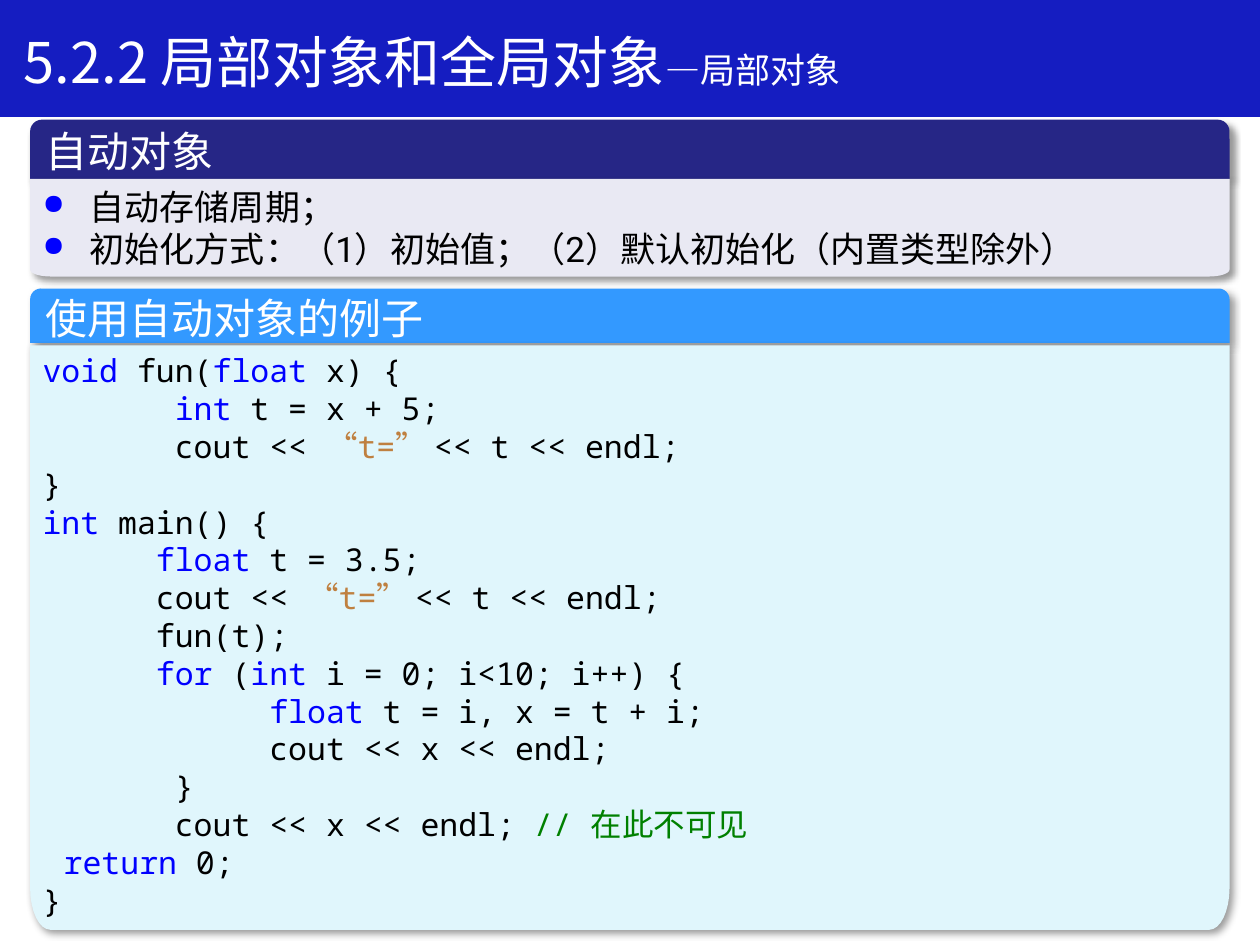
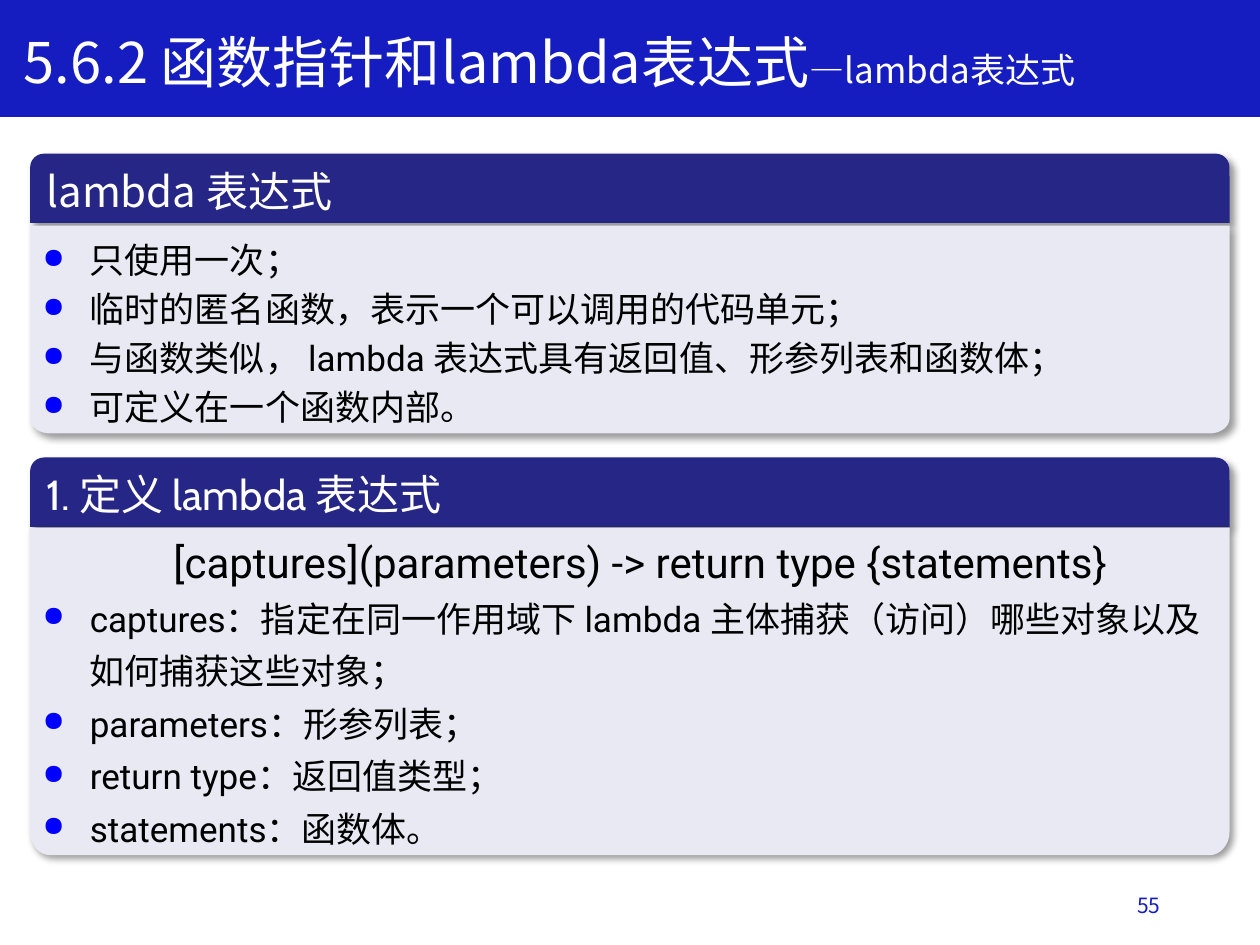
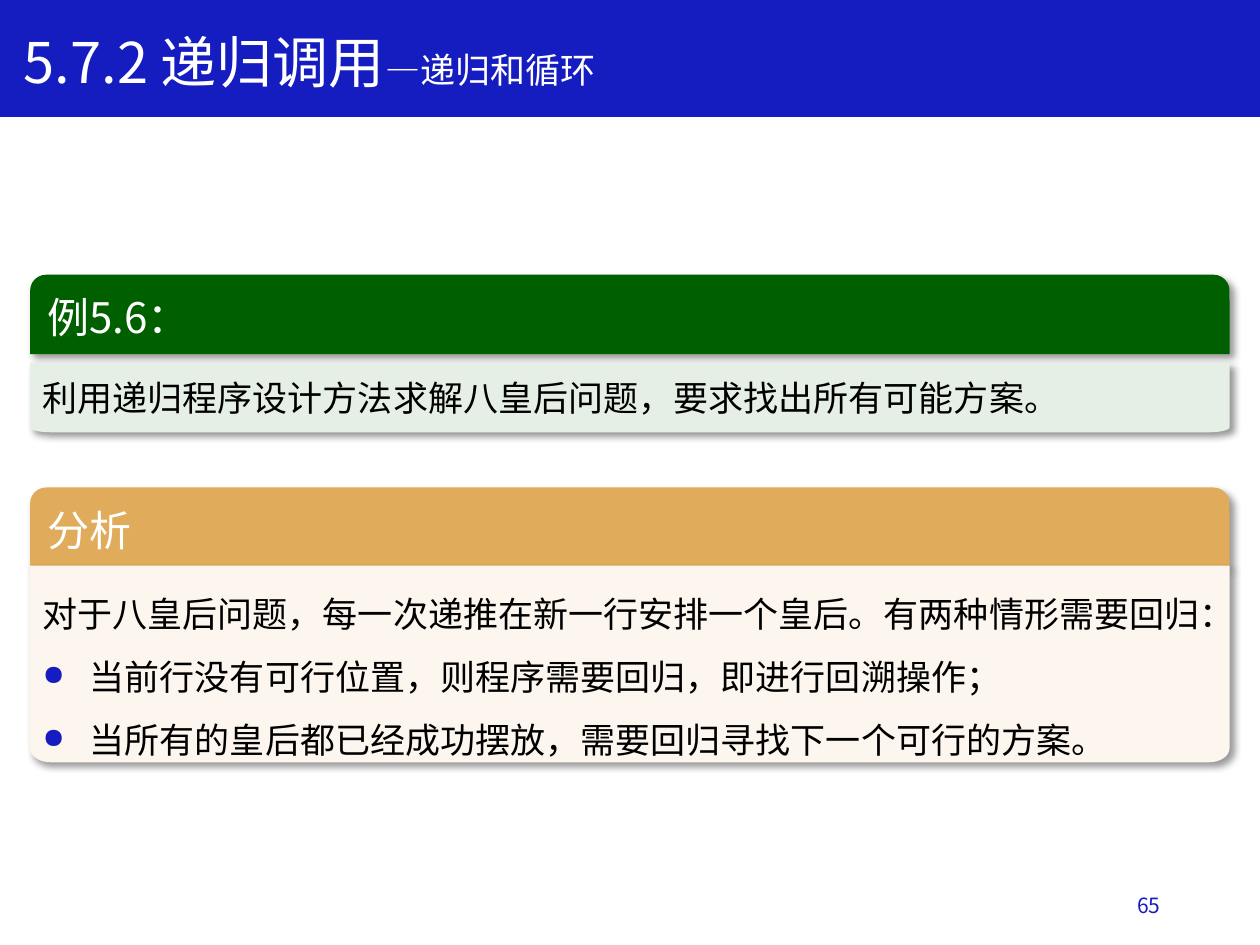
from math import cos, sin, pi

from lxml.etree import SubElement
from pptx import Presentation
from pptx.dml.color import RGBColor
from pptx.enum.shapes import MSO_SHAPE as SHAPE
from pptx.enum.text import MSO_ANCHOR as ANCHOR, PP_ALIGN as ALIGN
from pptx.oxml.ns import qn
from pptx.util import Pt

# Shared look
CJK, MONO, LATIN, CABIN = "Noto Sans CJK SC", "Noto Sans Mono", "Roboto", "Cabin"
BAND, BLUE, WHITE, BLACK = "151DC1", "0000FF", "FFFFFF", "000000"
LEFT, WIDTH = 17.2, 685.4
CORNER_X, CORNER_RATIO = 11.5, 0.0715
STYLES = {
    "kw": dict(font=MONO, color=BLUE),
    "str": dict(font=MONO, color="BF8040"),
    "note": dict(font=MONO, color="008000"),
    "note_cjk": dict(font=CJK, color="008000"),
    "latin": dict(font=LATIN),
    "syntax": dict(font=LATIN, size=24),
    "cabin": dict(font=CABIN),
}
NAVY = ("262686", "E9E9F3")
SKY = ("3399FF", "E0F6FC")
GREEN = ("006000", "E5EFE5")
AMBER = ("E0AB5B", "FCF6EE")

# Content: a run is a string or (string, style); a paragraph is (kind, runs)
CODE = [
    ("void ", "kw"), "fun(", ("float ", "kw"), "x) {\n       ",
    ("int ", "kw"), "t = x + 5;\n       cout << ",
    ("“t=” ", "str"), "<< t << endl;\n}\n",
    ("int ", "kw"), "main() {\n      ",
    ("float ", "kw"), "t = 3.5;\n      cout << ",
    ("“t=” ", "str"), "<< t << endl;\n      fun(t);\n      ",
    ("for ", "kw"), "(", ("int ", "kw"), "i = 0; i<10; i++) {\n            ",
    ("float ", "kw"), "t = i, x = t + i;\n            cout << x << endl;\n"
    "       }\n       cout << x << endl; ",
    ("// ", "note"), ("在此不可见\n   ", "note_cjk"),
    ("return ", "kw"), "0;\n}",
]

SLIDES = [
    dict(title="5.2.2 局部对象和全局对象", subtitle="—局部对象", title_width=540, blocks=[
        dict(colors=NAVY, head=(68.4, 33.8), body=(102.2, 55.8), spacing=Pt(24),
             heading=["自动对象"], paras=[
                 ("bullet", ["自动存储周期；"]),
                 ("bullet", ["初始化方式：（", ("1", "latin"), "）初始值；（",
                             ("2", "latin"), "）默认初始化（内置类型除外）"])]),
        dict(colors=SKY, head=(164.9, 31), body=(197.3, 334), spacing=Pt(21.6),
             heading=["使用自动对象的例子"], size=18, font=MONO,
             paras=[("plain", CODE)]),
    ]),
    dict(title="5.6.2 函数指针和lambda表达式", subtitle="—lambda表达式", number="55", blocks=[
        dict(colors=NAVY, head=(87.8, 39.6), body=(128.9, 118.8), spacing=Pt(28),
             heading=["lambda 表达式"], paras=[
                 ("bullet", ["只使用一次；"]),
                 ("bullet", ["临时的匿名函数，表示一个可以调用的代码单元；"]),
                 ("bullet", ["与函数类似， ", ("lambda ", "latin"),
                             "表达式具有返回值、形参列表和函数体；"]),
                 ("bullet", ["可定义在一个函数内部。"])]),
        dict(colors=NAVY, head=(261.4, 39.6), body=(301.7, 187), spacing=Pt(30),
             heading=[("1. ", "cabin"), "定义 ", ("lambda ", "cabin"), "表达式"], paras=[
                 ("center", [("  [captures](parameters) -> return type {statements}",
                              "syntax")]),
                 ("bullet", [("captures", "latin"), "：指定在同一作用域下 ",
                             ("lambda ", "latin"),
                             "主体捕获（访问）哪些对象以及如何捕获这些对象；"]),
                 ("bullet", [("parameters", "latin"), "：形参列表；"]),
                 ("bullet", [("return type", "latin"), "：返回值类型；"]),
                 ("bullet", [("statements", "latin"), "：函数体。"])]),
    ]),
    dict(title="5.7.2 递归调用", subtitle="—递归和循环", number="65", blocks=[
        dict(colors=GREEN, head=(157, 45.4), body=(207.4, 39.6), anchor=ANCHOR.MIDDLE,
             heading=["例5.6："], paras=[
                 ("plain", ["利用递归程序设计方法求解八皇后问题，要求找出所有可能方案。"])]),
        dict(colors=AMBER, head=(278.6, 45.4), body=(323.3, 112.3), spacing=1.5,
             heading=["分析"], bullet_color=BAND, paras=[
                 ("plain", ["对于八皇后问题，每一次递推在新一行安排一个皇后。有两种情形需要回归："]),
                 ("bullet", ["当前行没有可行位置，则程序需要回归，即进行回溯操作；"]),
                 ("bullet", ["当所有的皇后都已经成功摆放，需要回归寻找下一个可行的方案。"])]),
    ]),
]


def rgb(value):
    return RGBColor.from_string(value)


def add_run(p, text, size=20, font=CJK, color=BLACK):
    for i, line in enumerate(text.split("\n")):
        if i:
            p.add_line_break()
        if not line:
            continue
        r = p.add_run()
        r.text = line
        r.font.size, r.font.name = Pt(size), font
        r.font.color.rgb = rgb(color)
        rPr = r.font._element
        rPr.set("lang", "zh-CN")
        SubElement(rPr, qn("a:ea")).set("typeface", CJK)


def add_bullet(p, color):
    pPr = p._p.get_or_add_pPr()
    pPr.set("marL", str(Pt(27)))
    pPr.set("indent", str(-Pt(27)))
    SubElement(SubElement(pPr, qn("a:buClr")), qn("a:srgbClr")).set("val", color)
    SubElement(pPr, qn("a:buSzPct")).set("val", "80000")
    SubElement(pPr, qn("a:buChar")).set("char", "●")


def write(sp, paras, anchor=ANCHOR.TOP, align=ALIGN.LEFT, spacing=None,
          bullet_color=BLUE, **fmt):
    tf = sp.text_frame
    tf.word_wrap = True
    tf.vertical_anchor = anchor
    for i, (kind, runs) in enumerate(paras):
        p = tf.add_paragraph() if i else tf.paragraphs[0]
        if kind == "bullet":
            add_bullet(p, bullet_color)
        p.alignment = ALIGN.CENTER if kind == "center" else align
        if spacing:
            p.line_spacing = spacing
        for run in runs:
            text, style = (run, {}) if isinstance(run, str) else (run[0], STYLES[run[1]])
            add_run(p, text, **{**fmt, **style})


def paint(sp, color, shadow=True):
    sp.shadow.inherit = False
    sp.fill.solid()
    sp.fill.fore_color.rgb = rgb(color)
    if not shadow:
        sp.line.color.rgb = rgb(color)
        sp.line.width = Pt(1)
        return
    sp.line.fill.background()
    effects = sp._element.spPr.find(qn("a:effectLst"))
    outer = SubElement(effects, qn("a:outerShdw"), blurRad=str(Pt(4)), dist=str(Pt(3)),
                       dir="2700000", algn="tl", rotWithShape="0")
    tint = SubElement(outer, qn("a:srgbClr"), val=BLACK)
    SubElement(tint, qn("a:alpha"), val="40000")


def rounded_bottom(s, top, height, steps=8):
    """Panel with square top corners and elliptical bottom corners."""
    right, bottom, ry = LEFT + WIDTH, top + height, height * CORNER_RATIO
    points = [(right, top)]
    for cx, start in ((right - CORNER_X, 0), (LEFT + CORNER_X, pi / 2)):
        for k in range(steps + 1):
            a = start + k * pi / 2 / steps
            points.append((cx + CORNER_X * cos(a), bottom - ry + ry * sin(a)))
    fb = s.shapes.build_freeform(Pt(LEFT), Pt(top))
    fb.add_line_segments([(Pt(x), Pt(y)) for x, y in points], close=True)
    return fb.convert_to_shape()


def add_block(s, colors, head, body, heading, paras, **fmt):
    sp = s.shapes.add_shape(SHAPE.ROUND_2_SAME_RECTANGLE,
                            Pt(LEFT), Pt(head[0]), Pt(WIDTH), Pt(head[1]))
    sp.adjustments[0], sp.adjustments[1] = 0.2, 0
    paint(sp, colors[0])
    write(sp, [("plain", heading)], anchor=ANCHOR.MIDDLE, size=24, color=WHITE)
    sp = rounded_bottom(s, *body)
    paint(sp, colors[1])
    write(sp, paras, **fmt)


def add_frame(s, title, subtitle, number, title_width):
    # Title band
    sp = s.shapes.add_shape(SHAPE.RECTANGLE, 0, 0, Pt(720), Pt(66.2))
    paint(sp, BAND, shadow=False)
    sp = s.shapes.add_textbox(Pt(6.5), Pt(12.2), Pt(title_width), Pt(46))
    write(sp, [("plain", [title])], size=32, color=WHITE)
    add_run(sp.text_frame.paragraphs[0], subtitle, color=WHITE)
    # Page number
    if number:
        sp = s.shapes.add_textbox(Pt(508.3), Pt(502.6), Pt(162), Pt(28.8))
        write(sp, [("plain", [number])], anchor=ANCHOR.MIDDLE, align=ALIGN.RIGHT,
              size=12, color=BAND)


def main():
    prs = Presentation()
    prs.slide_width, prs.slide_height = Pt(720), Pt(540)
    for data in SLIDES:
        s = prs.slides.add_slide(prs.slide_layouts[6])
        add_frame(s, data["title"], data["subtitle"], data.get("number"),
                  data.get("title_width", 664))
        for block in data["blocks"]:
            add_block(s, **block)
    prs.save("out.pptx")


if __name__ == "__main__":
    main()
